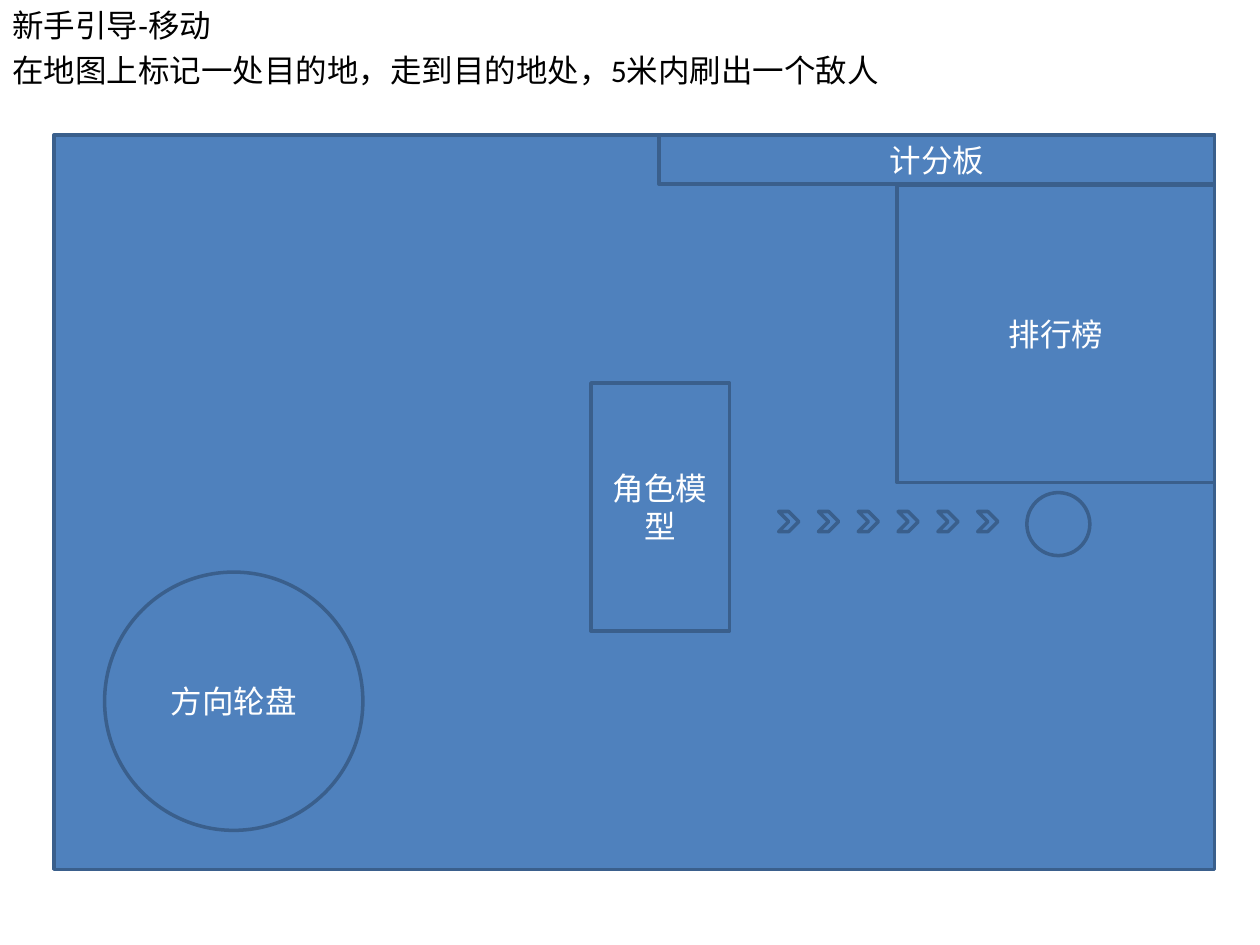
import collections

import pptx
import pptx.dml.color
import pptx.enum.shapes
import pptx.enum.text
import pptx.util

COLUMNS, ROWS = 100, 75
CELL = pptx.util.Inches(0.1)
COLOURS = {"panel": "4F81BD", "outline": "3A5F8C", "label": "FFFFFF", "heading": "000000"}
SHAPES = pptx.enum.shapes.MSO_SHAPE
ALIGN = pptx.enum.text.PP_ALIGN
ANCHOR = pptx.enum.text.MSO_ANCHOR

Box = collections.namedtuple("Box", "left top width height")


def inside(box, left, top, width, height):
    """Box in grid cells, offset from the corner of another box."""
    return Box(box.left + left, box.top + top, width, height)


def emu(box):
    return [round(cells * CELL) for cells in box]


def colour(name):
    return pptx.dml.color.RGBColor.from_string(COLOURS[name])


def write(frame, text, size=18, font="Calibri", ink="label",
          align=ALIGN.CENTER, anchor=ANCHOR.MIDDLE):
    frame.word_wrap = True
    frame.vertical_anchor = anchor
    paragraph = frame.paragraphs[0]
    paragraph.alignment = align
    run = paragraph.add_run()
    run.text = text
    run.font.size = pptx.util.Pt(size)
    run.font.name = font
    run.font.color.rgb = colour(ink)


def add_part(slide, box, kind=SHAPES.RECTANGLE, label=None):
    part = slide.shapes.add_shape(kind, *emu(box))
    part.shadow.inherit = False
    part.fill.solid()
    part.fill.fore_color.rgb = colour("panel")
    part.line.color.rgb = colour("outline")
    part.line.width = pptx.util.Pt(2)
    if label:
        write(part.text_frame, label)


def add_heading(slide, box, text):
    heading = slide.shapes.add_textbox(*emu(box))
    write(heading.text_frame, text, ink="heading", align=ALIGN.LEFT, anchor=ANCHOR.TOP)


def add_trail(slide, box, steps=6, step_size=1.6, pitch=3.16):
    """Chevrons leading to a round target at the right end of the box."""
    for step in range(steps):
        add_part(slide, inside(box, step * pitch, 1.5, step_size, step_size), SHAPES.CHEVRON)
    target = box.height
    add_part(slide, inside(box, box.width - target, 0, target, target),
             SHAPES.FLOWCHART_CONNECTOR)


def add_score_panels(slide, box):
    """Scoreboard and ranking, both flush with the right edge of the box."""
    for label, top, width, height in (("计分板", 0, 44.1, 3.9), ("排行榜", 4, 25.2, 23.6)):
        add_part(slide, inside(box, box.width - width, top, width, height), label=label)


def add_game_screen(slide, box):
    add_part(slide, box)
    add_part(slide, inside(box, 4, 34.7, 20.5, 20.5), SHAPES.FLOWCHART_CONNECTOR, "方向轮盘")
    add_part(slide, inside(box, 42.6, 19.7, 11, 19.7), label="角色模型")
    add_trail(slide, inside(box, 57.5, 28.4, 24.7, 5))
    add_score_panels(slide, box)


def main():
    deck = pptx.Presentation()
    deck.slide_width, deck.slide_height = COLUMNS * CELL, ROWS * CELL
    slide = deck.slides.add_slide(deck.slide_layouts[6])
    add_heading(slide, Box(0, 0, 36.2, 4), "新手引导-移动")
    add_heading(slide, Box(0, 3.6, COLUMNS, 4),
                "在地图上标记一处目的地，走到目的地处，5米内刷出一个敌人")
    add_game_screen(slide, Box(4.3, 10.7, 92.1, 58.3))
    deck.save("out.pptx")


if __name__ == "__main__":
    main()
